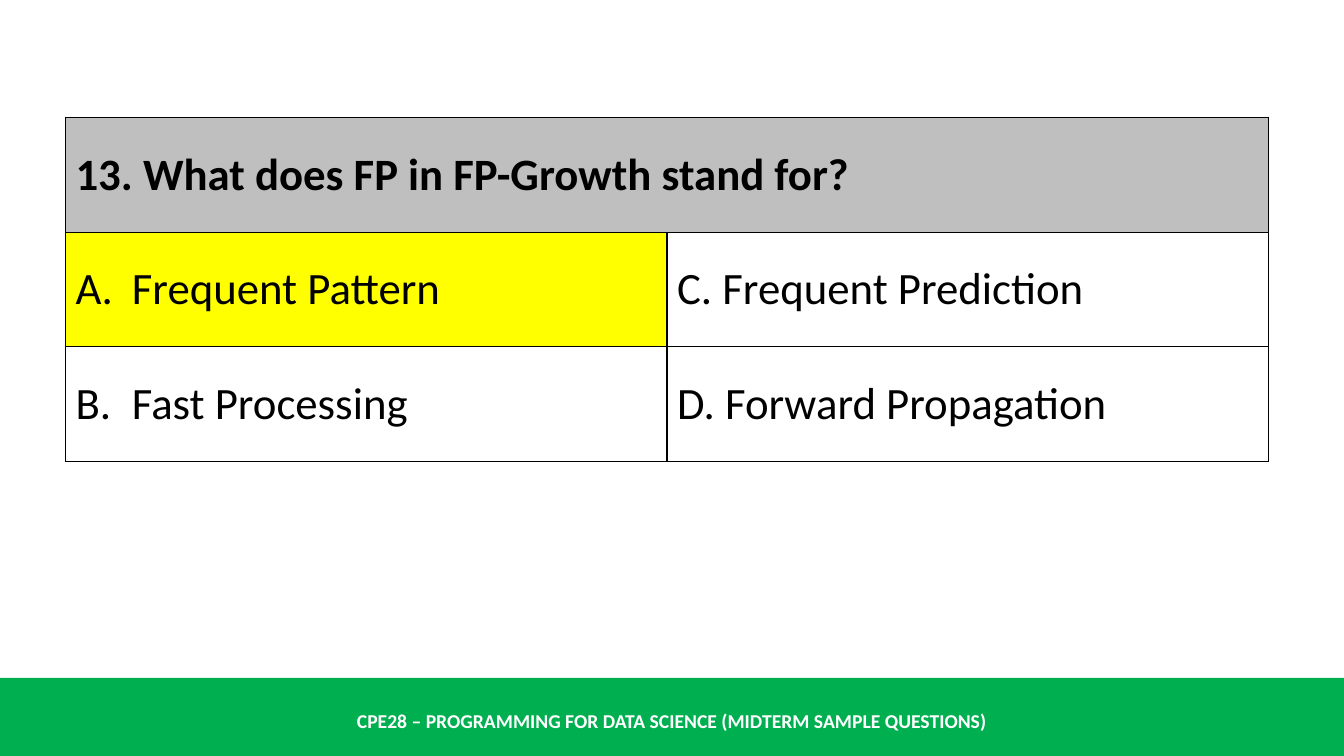
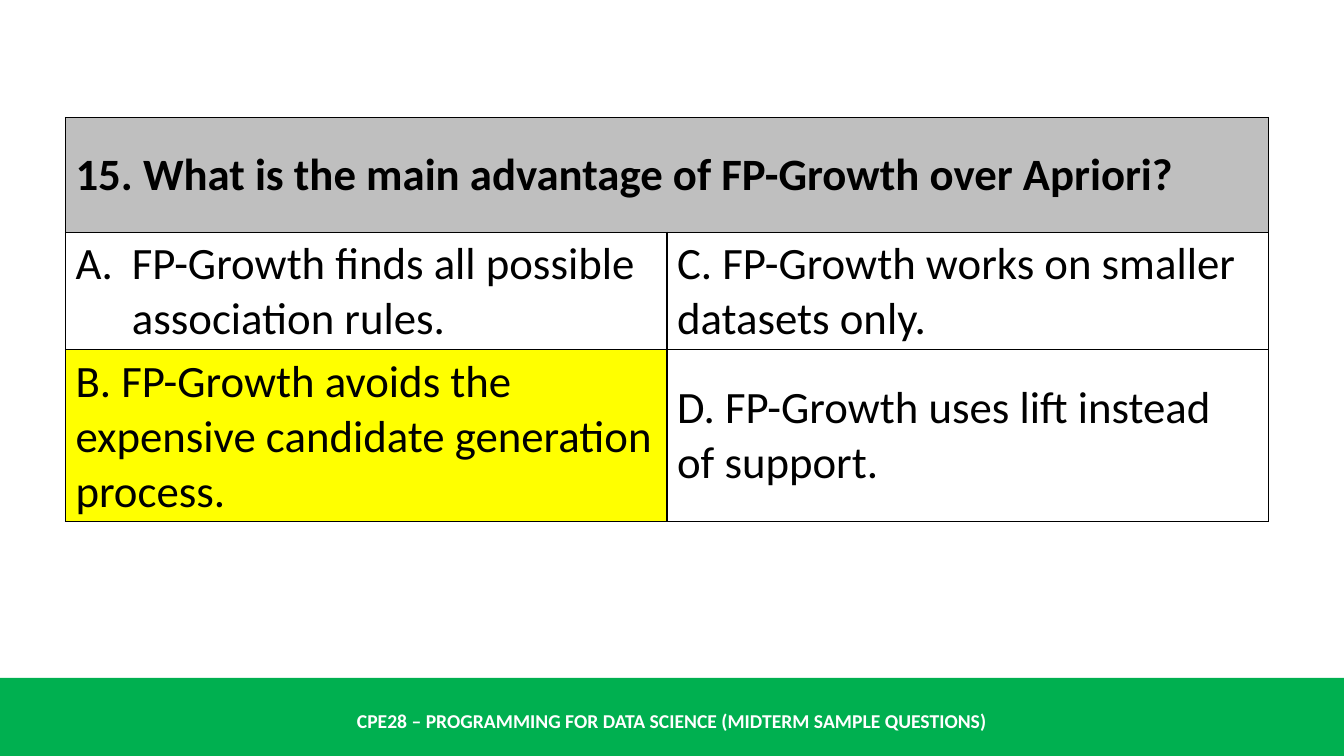
from lxml import etree
from pptx import Presentation
from pptx.dml.color import RGBColor
from pptx.enum.shapes import MSO_SHAPE
from pptx.enum.text import MSO_ANCHOR, PP_ALIGN
from pptx.oxml import parse_xml
from pptx.oxml.ns import nsdecls, qn
from pptx.util import Cm, Pt

BLACK = RGBColor(0x00, 0x00, 0x00)
WHITE = RGBColor(0xFF, 0xFF, 0xFF)
GREEN = RGBColor(0x00, 0xB0, 0x50)
GRAY = RGBColor(0xBF, 0xBF, 0xBF)
YELLOW = RGBColor(0xFF, 0xFF, 0x00)
FONT = "Calibri"
SLIDE_WIDTH, SLIDE_HEIGHT = Cm(33.87), Cm(19.05)
BAND_TOP = Cm(17.08)
COLUMN_WIDTH, ROW_HEIGHT = Cm(15.16), Cm(2.89)
HANGING = Cm(1.42)

# Each answer is (text, list number or None); the last item is the (row, column) of the right one.
QUESTIONS = [
    ("13. What does FP in FP-Growth stand for?",
     [[("Frequent Pattern", 1), ("C. Frequent Prediction", None)],
      [("Fast Processing", 2), ("D. Forward Propagation", None)]],
     (1, 0)),
    ("15. What is the main advantage of FP-Growth over Apriori?",
     [[("FP-Growth finds all possible association rules.", 1),
       ("C. FP-Growth works on smaller datasets only.", None)],
      [("B. FP-Growth avoids the expensive candidate generation process.", None),
       ("D. FP-Growth uses lift instead of support.", None)]],
     (2, 0)),
]


def write(frame, text, size=32, color=BLACK, bold=False, align=PP_ALIGN.LEFT, number=None):
    """Fill the frame with one paragraph; number gives it a hanging A., B., ... label."""
    paragraph = frame.paragraphs[0]
    paragraph.alignment = align
    if number:
        properties = paragraph._p.get_or_add_pPr()
        properties.set("marL", str(HANGING))
        properties.set("indent", str(-HANGING))
        etree.SubElement(properties, qn("a:buFont"), typeface="+mj-lt")
        etree.SubElement(properties, qn("a:buAutoNum"), type="alphaUcPeriod", startAt=str(number))
    run = paragraph.add_run()
    run.text = text
    run.font.name = FONT
    run.font.size = Pt(size)
    run.font.bold = bold
    run.font.color.rgb = color


def style_cell(cell, fill):
    properties = cell._tc.get_or_add_tcPr()
    for side in ("lnL", "lnR", "lnT", "lnB"):
        properties.append(parse_xml(
            f'<a:{side} {nsdecls("a")} w="{Pt(1)}"><a:solidFill>'
            f'<a:srgbClr val="{BLACK}"/></a:solidFill></a:{side}>'))
    cell.fill.solid()
    cell.fill.fore_color.rgb = fill
    cell.vertical_anchor = MSO_ANCHOR.MIDDLE


prs = Presentation()
prs.slide_width, prs.slide_height = SLIDE_WIDTH, SLIDE_HEIGHT
layout = prs.slide_layouts[6]
slides = [prs.slides.add_slide(layout) for _ in QUESTIONS]

# The footer is drawn once and moved to the layout, so every slide inherits it.
drawing = slides[0].shapes
band = drawing.add_shape(MSO_SHAPE.RECTANGLE, 0, BAND_TOP, SLIDE_WIDTH, SLIDE_HEIGHT - BAND_TOP)
band.shadow.inherit = False
band.fill.solid()
band.fill.fore_color.rgb = GREEN
band.line.fill.background()
course = drawing.add_textbox(0, Cm(17.65), SLIDE_WIDTH, Cm(1.02))
course.text_frame.word_wrap = True
course.text_frame.vertical_anchor = MSO_ANCHOR.MIDDLE
write(course.text_frame, "CPE28 – PROGRAMMING FOR DATA SCIENCE (MIDTERM SAMPLE QUESTIONS)",
      size=14, color=WHITE, bold=True, align=PP_ALIGN.CENTER)
for footer_part in (band, course):
    layout.shapes.element.append(footer_part.element)

for slide, (question, answers, correct) in zip(slides, QUESTIONS):
    quiz = slide.shapes.add_table(3, 2, Cm(1.65), Cm(2.96), 2 * COLUMN_WIDTH, 3 * ROW_HEIGHT).table
    quiz.first_row = quiz.horz_banding = False
    for column in quiz.columns:
        column.width = COLUMN_WIDTH
    for row in quiz.rows:
        row.height = ROW_HEIGHT
    quiz.cell(0, 0).merge(quiz.cell(0, 1))
    for column in range(2):
        style_cell(quiz.cell(0, column), GRAY)
    write(quiz.cell(0, 0).text_frame, question, bold=True)
    for row, pair in enumerate(answers, start=1):
        for column, (answer, number) in enumerate(pair):
            cell = quiz.cell(row, column)
            style_cell(cell, YELLOW if (row, column) == correct else WHITE)
            write(cell.text_frame, answer, number=number)

prs.save("out.pptx")
